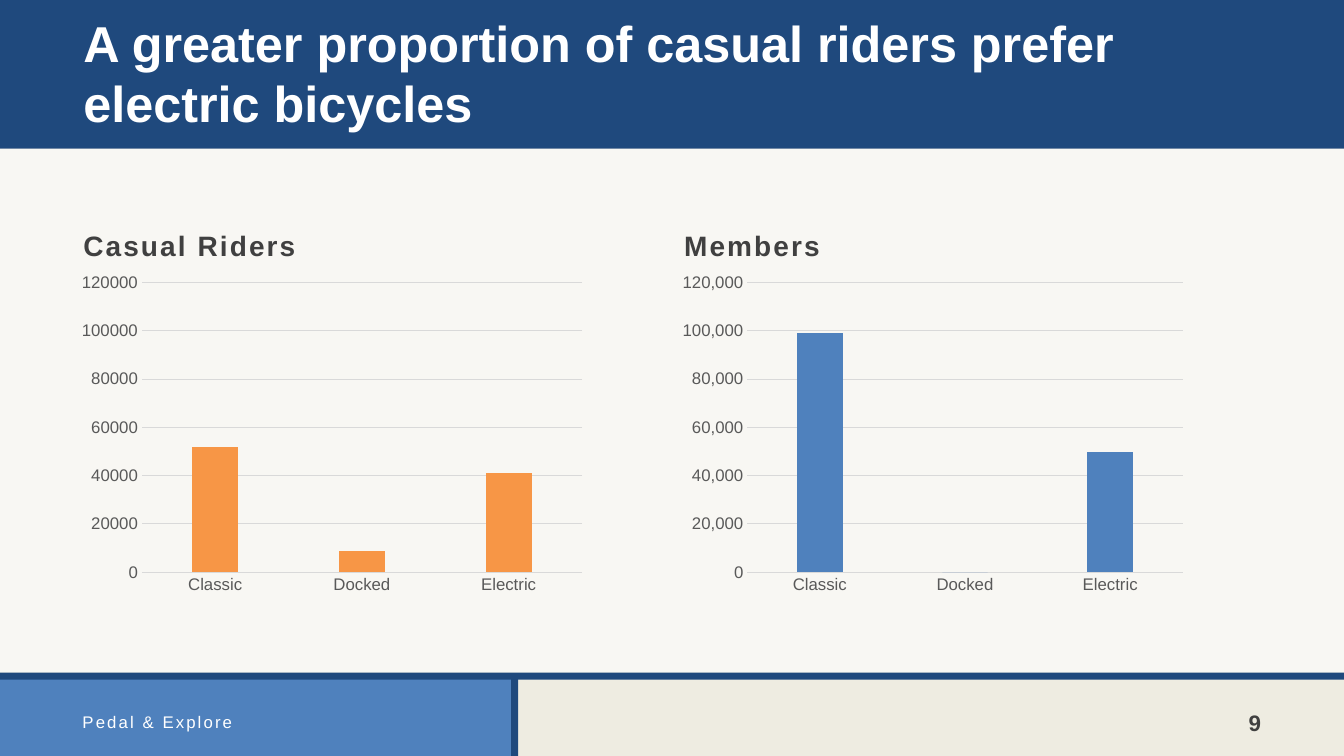
import pptx
import pptx.chart.data
import pptx.dml.color
import pptx.enum.chart
import pptx.enum.shapes
import pptx.enum.text
import pptx.oxml.ns
import pptx.util
from lxml import etree

Cm = pptx.util.Cm
Pt = pptx.util.Pt
RGBColor = pptx.dml.color.RGBColor
Anchor = pptx.enum.text.MSO_ANCHOR
Align = pptx.enum.text.PP_ALIGN

NAVY = RGBColor(0x1F, 0x49, 0x7D)
BLUE = RGBColor(0x4F, 0x81, 0xBD)
ORANGE = RGBColor(0xF7, 0x96, 0x46)
CREAM = RGBColor(0xEE, 0xEC, 0xE1)
WHITE = RGBColor(0xFF, 0xFF, 0xFF)
DARK_GRAY = RGBColor(0x40, 0x40, 0x40)
AXIS_GRAY = RGBColor(0x59, 0x59, 0x59)
GRID_GRAY = RGBColor(0xD9, 0xD9, 0xD9)

SLIDE_WIDTH = 33.87
SLIDE_HEIGHT = 19.05
BIKE_TYPES = ("Classic", "Docked", "Electric")


class SlideBuilder:
    font_name = "Arial"
    axis_size = Pt(12)
    hairline = Pt(0.75)

    def __init__(self, slide, background):
        self.slide = slide
        slide.background.fill.solid()
        slide.background.fill.fore_color.rgb = background

    def band(self, left, top, width, height, color, opacity=100):
        shape = self.slide.shapes.add_shape(
            pptx.enum.shapes.MSO_SHAPE.RECTANGLE,
            Cm(left), Cm(top), Cm(width), Cm(height))
        shape.shadow.inherit = False
        shape.fill.solid()
        shape.fill.fore_color.rgb = color
        shape.line.fill.background()
        if opacity < 100:
            color_element = shape.element.find(".//" + pptx.oxml.ns.qn("a:srgbClr"))
            alpha = etree.SubElement(color_element, pptx.oxml.ns.qn("a:alpha"))
            alpha.set("val", str(opacity * 1000))

    def text(self, text, left, top, width, height, size, color, bold=True,
             spacing=0, anchor=Anchor.MIDDLE, align=Align.LEFT):
        shape = self.slide.shapes.add_textbox(Cm(left), Cm(top), Cm(width), Cm(height))
        frame = shape.text_frame
        frame.text = text
        frame.word_wrap = True
        frame.vertical_anchor = anchor
        frame.margin_left = frame.margin_right = frame.margin_top = Cm(0.3)
        frame.margin_bottom = Cm(0.25)
        paragraph = frame.paragraphs[0]
        paragraph.alignment = align
        font = paragraph.runs[0].font
        font.name = self.font_name
        font.size = Pt(size)
        font.bold = bold
        font.color.rgb = color
        if spacing:
            properties = shape.element.find(".//" + pptx.oxml.ns.qn("a:rPr"))
            properties.set("spc", str(int(spacing * 100)))
        return paragraph

    def style_axis(self, axis):
        axis.major_tick_mark = axis.minor_tick_mark = pptx.enum.chart.XL_TICK_MARK.NONE
        font = axis.tick_labels.font
        font.name = self.font_name
        font.size = self.axis_size
        font.color.rgb = AXIS_GRAY

    def style_line(self, line):
        line.color.rgb = GRID_GRAY
        line.width = self.hairline

    def column_chart(self, left, top, width, height, name, values, color, number_format):
        data = pptx.chart.data.CategoryChartData()
        data.categories = BIKE_TYPES
        data.add_series(name, values)
        chart = self.slide.shapes.add_chart(
            pptx.enum.chart.XL_CHART_TYPE.COLUMN_CLUSTERED,
            Cm(left), Cm(top), Cm(width), Cm(height), data).chart
        chart.has_legend = False
        chart.has_title = False
        chart.font.name = self.font_name
        chart.font.size = Pt(10)

        plot = chart.plots[0]
        plot.vary_by_categories = False
        plot.gap_width = 219
        plot.overlap = -27
        fill = plot.series[0].format.fill
        fill.solid()
        fill.fore_color.rgb = color

        self.style_axis(chart.category_axis)
        self.style_line(chart.category_axis.format.line)
        value_axis = chart.value_axis
        self.style_axis(value_axis)
        value_axis.format.line.fill.background()
        value_axis.minimum_scale = 0
        value_axis.maximum_scale = 120000
        value_axis.major_unit = 20000
        value_axis.has_major_gridlines = True
        self.style_line(value_axis.major_gridlines.format.line)
        value_axis.tick_labels.number_format = number_format
        value_axis.tick_labels.number_format_is_linked = False

    def rider_panel(self, left, heading, values, color, number_format):
        width = 13.13
        paragraph = self.text(heading, left, 5.11, width, 1.3, 20, DARK_GRAY,
                              spacing=1.5, anchor=Anchor.TOP)
        paragraph.line_spacing = 1.4
        paragraph.space_before = Pt(9.3)
        self.column_chart(left, 6.73, width, 8.41, heading, values, color, number_format)


def main():
    presentation = pptx.Presentation()
    presentation.slide_width = Cm(SLIDE_WIDTH)
    presentation.slide_height = Cm(SLIDE_HEIGHT)
    slide = presentation.slides.add_slide(presentation.slide_layouts[6])
    builder = SlideBuilder(slide, CREAM)

    builder.band(0, 0, SLIDE_WIDTH, 3.75, NAVY)
    builder.band(0, 3.75, SLIDE_WIDTH, 13.2, WHITE, opacity=60)
    builder.band(0, 16.97, 12.93, 2.08, BLUE)
    builder.band(0, 16.95, SLIDE_WIDTH, 0.18, NAVY)
    builder.band(12.88, 17, 0.18, 2.05, NAVY)

    builder.text("A greater proportion of casual riders prefer electric bicycles",
                 1.8, 0.5, 30.28, 2.6, 36, WHITE)
    builder.rider_panel(1.8, "Casual Riders", (52000, 9000, 41000), ORANGE, "0")
    builder.rider_panel(16.94, "Members", (99000, 0, 50000), BLUE, "#,##0")

    builder.text("Pedal & Explore", 1.78, 17.53, 9.5, 1.27, 12, WHITE,
                 bold=False, spacing=1.5)
    builder.text("9", 29.36, 17.53, 2.72, 1.27, 16, DARK_GRAY, spacing=1.5,
                 anchor=Anchor.BOTTOM, align=Align.RIGHT)

    presentation.save("out.pptx")


if __name__ == "__main__":
    main()
